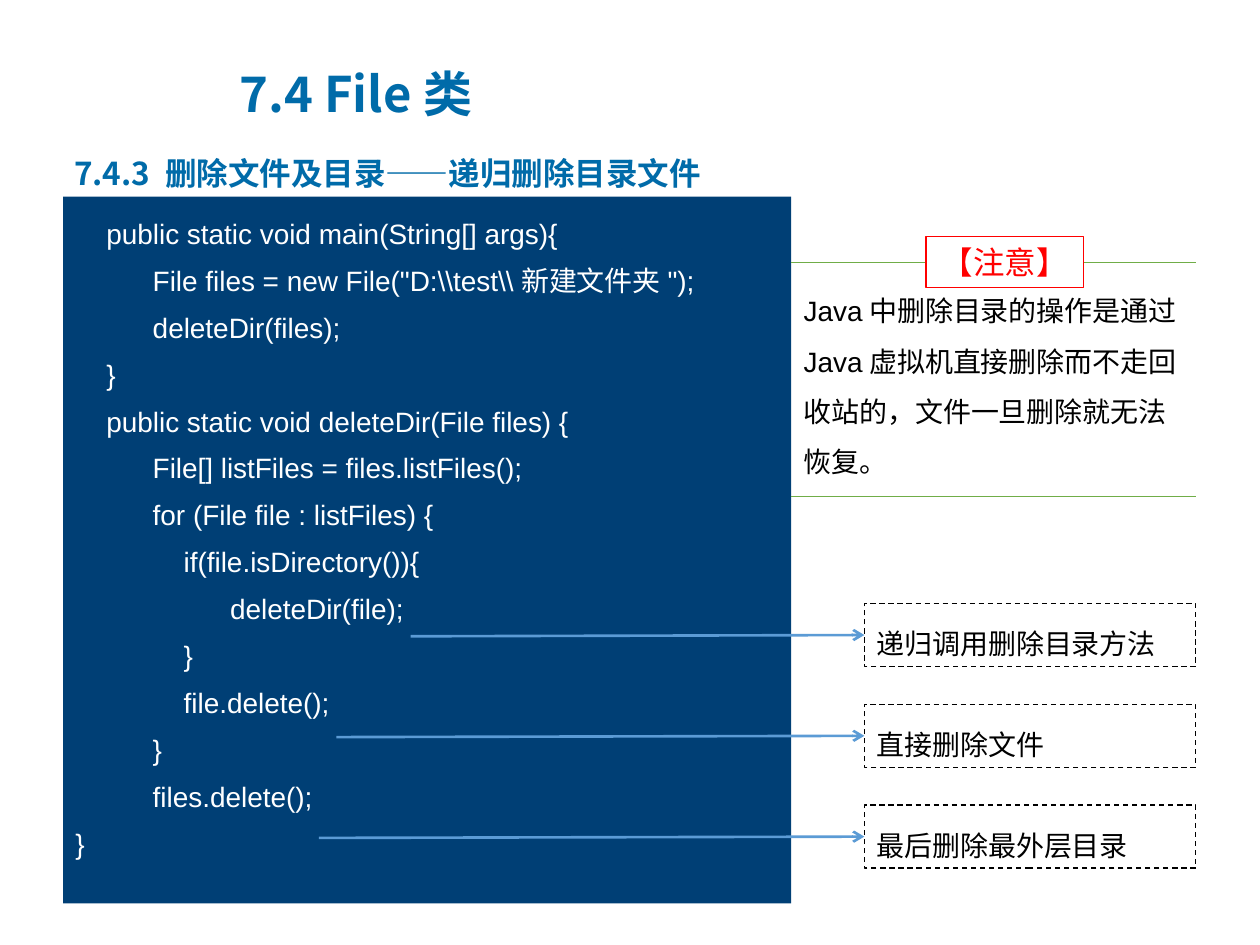
from lxml.etree import SubElement
from pptx import Presentation
from pptx.dml.color import RGBColor
from pptx.enum.dml import MSO_LINE
from pptx.enum.shapes import MSO_CONNECTOR, MSO_SHAPE
from pptx.enum.text import MSO_ANCHOR, MSO_AUTO_SIZE, PP_ALIGN
from pptx.oxml.ns import qn
from pptx.util import Inches, Pt

TITLE = "7.4 File类"
SUBTITLE = "7.4.3 删除文件及目录——递归删除目录文件"
CODE = r"""    public static void main(String[] args){
          File files = new File("D:\\test\\新建文件夹");
          deleteDir(files);
    }
    public static void deleteDir(File files) {
          File[] listFiles = files.listFiles();
          for (File file : listFiles) {
              if(file.isDirectory()){
                    deleteDir(file);
              }
              file.delete();
          }
          files.delete();
}"""
NOTE_LABEL = "【注意】"
NOTE = "Java中删除目录的操作是通过Java虚拟机直接删除而不走回收站的，文件一旦删除就无法恢复。"
# (explanation, left end of its arrow in inches)
CALLOUTS = [("递归调用删除目录方法", 3.26), ("直接删除文件", 2.67), ("最后删除最外层目录", 2.53)]

COLORS = {"heading": "006BA9", "panel": "003F75", "white": "FFFFFF", "text": "000000",
          "arrow": "5B9BD5", "rule": "70AD47", "alert": "FF0000"}
CJK, LATIN = "Noto Sans CJK SC", "Arial"

PANEL_LEFT, PANEL_TOP, PANEL_WIDTH, PANEL_HEIGHT = 0.5, 1.56, 5.78, 5.61
NOTE_LEFT, NOTE_WIDTH = PANEL_LEFT + PANEL_WIDTH, 3.21
RIGHT = NOTE_LEFT + NOTE_WIDTH
RULES = (2.08, 3.94)
LABEL_WIDTH, LABEL_HEIGHT = 1.25, 0.4
CALLOUT_TOP, CALLOUT_WIDTH, CALLOUT_HEIGHT, CALLOUT_PITCH = 4.79, 2.63, 0.5, 0.8


def color(name):
    return RGBColor.from_string(COLORS[name])


def write(box, text, size, ink, font=LATIN, bold=False, spacing=1.0,
          align=PP_ALIGN.LEFT, anchor=MSO_ANCHOR.TOP):
    frame = box.text_frame
    frame.text = text
    frame.word_wrap = True
    frame.auto_size = MSO_AUTO_SIZE.NONE
    frame.vertical_anchor = anchor
    for para in frame.paragraphs:
        para.alignment = align
        para.line_spacing = spacing
        para.font.size = Pt(size)
        para.font.bold = bold
        para.font.name = font
        para.font.color.rgb = color(ink)
        defaults = para._p.pPr.find(qn("a:defRPr"))
        SubElement(defaults, qn("a:ea"), typeface=CJK)


def add_text(page, area, *args, **style):
    box = page.shapes.add_textbox(*map(Inches, area))
    write(box, *args, **style)


def add_rectangle(page, area, fill=None, line=None, dashed=False):
    box = page.shapes.add_shape(MSO_SHAPE.RECTANGLE, *map(Inches, area))
    box.shadow.inherit = False
    if fill:
        box.fill.solid()
        box.fill.fore_color.rgb = color(fill)
    else:
        box.fill.background()
    if line:
        box.line.color.rgb = color(line)
        box.line.width = Pt(0.75)
        if dashed:
            box.line.dash_style = MSO_LINE.DASH
    else:
        box.line.fill.background()
    return box


def add_line(page, start, end, ink, width):
    line = page.shapes.add_connector(MSO_CONNECTOR.STRAIGHT, *map(Inches, start + end))
    line.line.color.rgb = color(ink)
    line.line.width = Pt(width)
    SubElement(line._element.spPr, qn("a:effectLst"))
    return line


def add_callout(page, row, text, arrow_left):
    left, top = RIGHT - CALLOUT_WIDTH, CALLOUT_TOP + row * CALLOUT_PITCH
    middle = top + CALLOUT_HEIGHT / 2
    box = add_rectangle(page, (left, top, CALLOUT_WIDTH, CALLOUT_HEIGHT),
                        line="text", dashed=True)
    write(box, text, 16, "text", spacing=1.5)
    arrow = add_line(page, (arrow_left, middle + 0.01), (left, middle), "arrow", 1.5)
    arrow.end_connect(box, 1)
    SubElement(arrow.line._get_or_add_ln(), qn("a:tailEnd"), type="arrow")


def add_note(page):
    add_text(page, (NOTE_LEFT, 2.15, NOTE_WIDTH, 1.7), NOTE, 16, "text", spacing=1.5)
    for y in RULES:
        add_line(page, (NOTE_LEFT, y), (RIGHT, y), "rule", 0.5)
    label = add_rectangle(page, (7.35, RULES[0] - LABEL_HEIGHT / 2, LABEL_WIDTH, LABEL_HEIGHT),
                          fill="white", line="alert")
    write(label, NOTE_LABEL, 18, "alert", font=CJK, align=PP_ALIGN.CENTER)


def main():
    deck = Presentation()
    deck.slide_width, deck.slide_height = Inches(10), Inches(7.5)
    page = deck.slides.add_slide(deck.slide_layouts[5])

    title = page.shapes.title
    title.left, title.top, title.width, title.height = map(Inches, (1.8, 0.43, 5.83, 0.61))
    write(title, TITLE, 28, "heading", font=CJK, bold=True, anchor=MSO_ANCHOR.MIDDLE)
    add_text(page, (0.49, 1.17, 9, 0.71), SUBTITLE, 18, "heading", font=CJK, bold=True)

    panel = add_rectangle(page, (PANEL_LEFT, PANEL_TOP, PANEL_WIDTH, PANEL_HEIGHT), fill="panel")
    write(panel, CODE, 16, "white", spacing=1.4)

    for row, (text, arrow_left) in enumerate(CALLOUTS):
        add_callout(page, row, text, arrow_left)
    add_note(page)
    deck.save("out.pptx")


if __name__ == "__main__":
    main()
